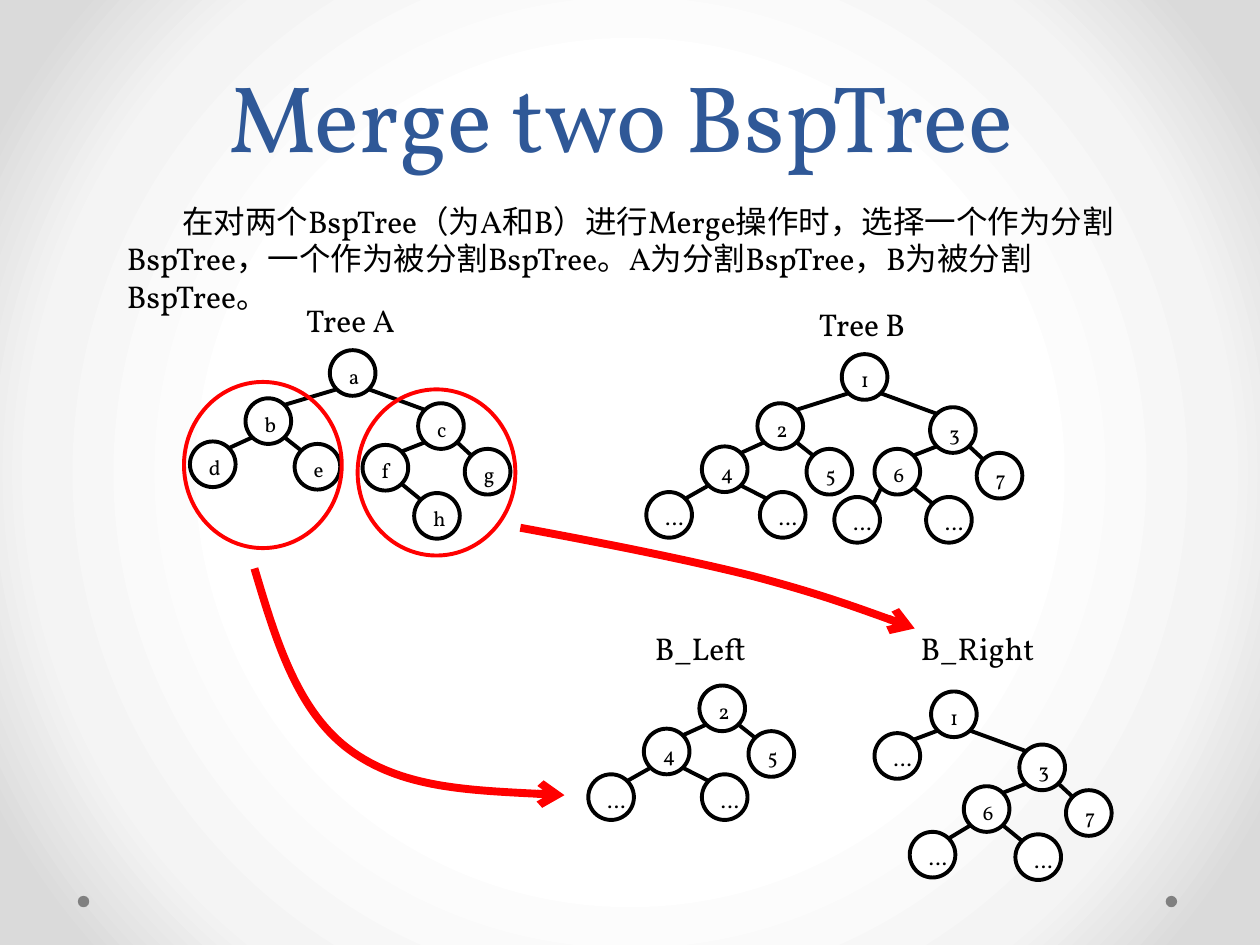
from dataclasses import dataclass

from pptx import Presentation
from pptx.dml.color import RGBColor
from pptx.enum.shapes import MSO_CONNECTOR as Connector, MSO_SHAPE as Shape
from pptx.enum.text import MSO_ANCHOR as Anchor, PP_ALIGN as Align
from pptx.oxml import parse_xml
from pptx.oxml.ns import nsdecls, qn
from pptx.oxml.xmlchemy import OxmlElement
from pptx.util import Cm, Pt


@dataclass(frozen=True)
class Theme:
    """Colours, type sizes and line widths."""
    font: str = "Vollkorn"
    blue: str = "2F5897"
    black: str = "000000"
    white: str = "FFFFFF"
    red: str = "FF0000"
    grey: str = "808080"
    background: tuple = ((50, "FFFFFF"), (76, "F4F4F4"), (92, "DADADA"))
    title_size: int = 54
    body_size: int = 18
    node_size: int = 12
    thin: float = 2.25
    thick: float = 4.5


@dataclass(frozen=True)
class Node:
    """A tree node; dx and dy are its offset from its parent in cm."""
    label: str
    dx: float = 0
    dy: float = 0
    children: tuple = ()


THEME = Theme()
NODE = 0.92
NEAR, FAR = 0.13, 0.79  # corners of the square inside a node


def color(value):
    """Turn a hex string into a colour."""
    return RGBColor.from_string(value)


def set_background(slide):
    """Fill the slide with a radial gradient."""
    stops = "".join(
        f'<a:gs pos="{position * 1000}"><a:srgbClr val="{value}"/></a:gs>'
        for position, value in THEME.background)
    slide.element.cSld.insert(0, parse_xml(
        f'<p:bg {nsdecls("p", "a")}><p:bgPr><a:gradFill><a:gsLst>{stops}</a:gsLst>'
        '<a:path path="circle"><a:fillToRect l="50000" t="50000" r="50000" b="50000"/>'
        '</a:path></a:gradFill><a:effectLst/></p:bgPr></p:bg>'))


def add_run(paragraph, text, size, value=THEME.black):
    """Add a run in the theme font."""
    run = paragraph.add_run()
    run.text = text
    run.font.name = THEME.font
    run.font.size = Pt(size)
    run.font.color.rgb = color(value)


def add_text(slide, box, text, size, value=THEME.black, wrap=True):
    """Add a text box and return its frame."""
    frame = slide.shapes.add_textbox(*map(Cm, box)).text_frame
    frame.word_wrap = wrap
    add_run(frame.paragraphs[0], text, size, value)
    return frame


def add_ellipse(slide, box, fill=None, line=None):
    """Add an ellipse with an optional fill and outline."""
    shape = slide.shapes.add_shape(Shape.OVAL, *map(Cm, box))
    shape.shadow.inherit = False
    if fill:
        shape.fill.solid()
        shape.fill.fore_color.rgb = color(fill)
    else:
        shape.fill.background()
    if line:
        shape.line.color.rgb = color(line)
        shape.line.width = Pt(THEME.thin)
    else:
        shape.line.fill.background()
    return shape


def add_edge(slide, start, end):
    """Add a line from a parent to a child."""
    edge = slide.shapes.add_connector(Connector.STRAIGHT, *map(Cm, (*start, *end)))
    edge.line.color.rgb = color(THEME.black)
    edge.line.width = Pt(THEME.thin)
    edge._element.spPr.append(OxmlElement("a:effectLst"))


def add_node(slide, node, left, top):
    """Draw a node with its edges and everything below it."""
    for child in node.children:
        x, y = left + child.dx, top + child.dy
        start, end = (NEAR, FAR) if child.dx < 0 else (FAR, NEAR)
        add_edge(slide, (left + start, top + FAR), (x + end, y + NEAR))
        add_node(slide, child, x, y)
    shape = add_ellipse(slide, (left, top, NODE, NODE), THEME.white, THEME.black)
    frame = shape.text_frame
    frame.vertical_anchor = Anchor.TOP
    frame.paragraphs[0].alignment = Align.LEFT
    add_run(frame.paragraphs[0], node.label, THEME.node_size)


def add_tree(slide, name, root, left, top, name_box):
    """Draw a tree from its root corner, and its name relative to it."""
    dx, dy, width = name_box
    add_node(slide, root, left, top)
    add_text(slide, (left + dx, top + dy, width, 1.02), name, THEME.body_size, wrap=False)


def left_branch(labels, dx=0, dy=0, leaves=()):
    """Build a branch whose left child may have two leaves."""
    top, left, right = labels
    return Node(top, dx, dy, (Node(left, -1.12, 0.87, leaves), Node(right, 0.99, 0.92)))


def right_branch(labels, inner, dx=1.78, dy=1.07, outer=()):
    """Build a branch whose left child has an inner and maybe an outer leaf."""
    top, left, right = labels
    leaves = (*outer, Node(inner, 1.04, 0.97))
    return Node(top, dx, dy, (Node(left, -1.12, 0.84, leaves), Node(right, 0.94, 0.92)))


def add_curved_arrow(slide, points):
    """Draw a curved arrow through Bezier points, three per segment."""
    start, *rest = [tuple(map(Cm, point)) for point in points]
    builder = slide.shapes.build_freeform(*start, scale=1.0)
    builder.add_line_segments(rest, close=False)
    shape = builder.convert_to_shape()
    shape.shadow.inherit = False
    shape.fill.background()
    shape.line.color.rgb = color(THEME.red)
    shape.line.width = Pt(THEME.thick)
    tail = OxmlElement("a:tailEnd")
    tail.set("type", "arrow")
    shape.line._get_or_add_ln().append(tail)
    segments = list(shape._element.iter(qn("a:lnTo")))
    for index in range(0, len(segments), 3):
        curve = OxmlElement("a:cubicBezTo")
        segments[index].addprevious(curve)
        for segment in segments[index:index + 3]:
            curve.append(segment[0])
            segment.getparent().remove(segment)


def add_heading(slide):
    """Add the title, the introduction and the two corner dots."""
    for left in (1.57, 23.5):
        add_ellipse(slide, (left, 18.06, 0.23, 0.23), THEME.grey)
    frame = add_text(slide, (1.09, -0.86, 22.86, 4.44), "Merge two BspTree",
                     THEME.title_size, THEME.blue)
    frame.vertical_anchor = Anchor.BOTTOM
    frame.paragraphs[0].alignment = Align.CENTER
    frame.paragraphs[0].line_spacing = Pt(58)
    frame = add_text(
        slide, (2.31, 3.94, 21.21, 1.8),
        "在对两个BspTree（为A和B）进行Merge操作时，选择一个作为分割BspTree，"
        "一个作为被分割BspTree。A为分割BspTree，B为被分割BspTree。", THEME.body_size)
    frame.paragraphs[0]._p.get_or_add_pPr().set("indent", str(Cm(1.11)))


def add_diagram(slide):
    """Add the four trees, the rings and the arrows."""
    pair = (Node("…", -1.12, 0.92), Node("…", 1.17, 0.92))
    tree_a = Node("a", children=(left_branch("bde", -1.7, 0.97), right_branch("cfg", "h")))
    tree_b = Node("1", children=(
        left_branch("245", -1.7, 0.99, pair),
        right_branch("367", "…", outer=(Node("…", -0.81, 0.97),))))
    b_right = Node("1", children=(
        Node("…", -1.14, 0.84),
        right_branch("367", "…", outer=(Node("…", -1.09, 0.92),))))
    add_tree(slide, "Tree A", tree_a, 6.65, 7.06, (-0.73, -1.12, 2.34))
    add_tree(slide, "Tree B", tree_b, 16.97, 7.14, (-0.71, -1.12, 2.34))
    add_tree(slide, "B_Left", left_branch("245", leaves=pair), 14.1, 13.82,
             (-1.15, -1.27, 2.34))
    add_tree(slide, "B_Right", b_right, 18.77, 13.94, (-0.46, -1.39, 3.1))
    for left, top in ((3.71, 7.7), (7.21, 7.85)):
        add_ellipse(slide, (left, top, 3.18, 3.35), line=THEME.red)
    add_curved_arrow(slide, ((5.13, 11.46), (5.56, 12.9), (5.99, 14.33), (7.04, 15.11),
                             (8.08, 15.88), (9.73, 15.95), (11.38, 16.03)))
    add_curved_arrow(slide, ((10.49, 10.64), (12.17, 10.95), (13.84, 11.28), (15.16, 11.61),
                             (16.48, 11.96), (17.48, 12.32), (18.44, 12.67)))


presentation = Presentation()
presentation.slide_width, presentation.slide_height = Cm(25.4), Cm(19.05)
slide = presentation.slides.add_slide(presentation.slide_layouts[6])
set_background(slide)
add_heading(slide)
add_diagram(slide)
presentation.save("out.pptx")
